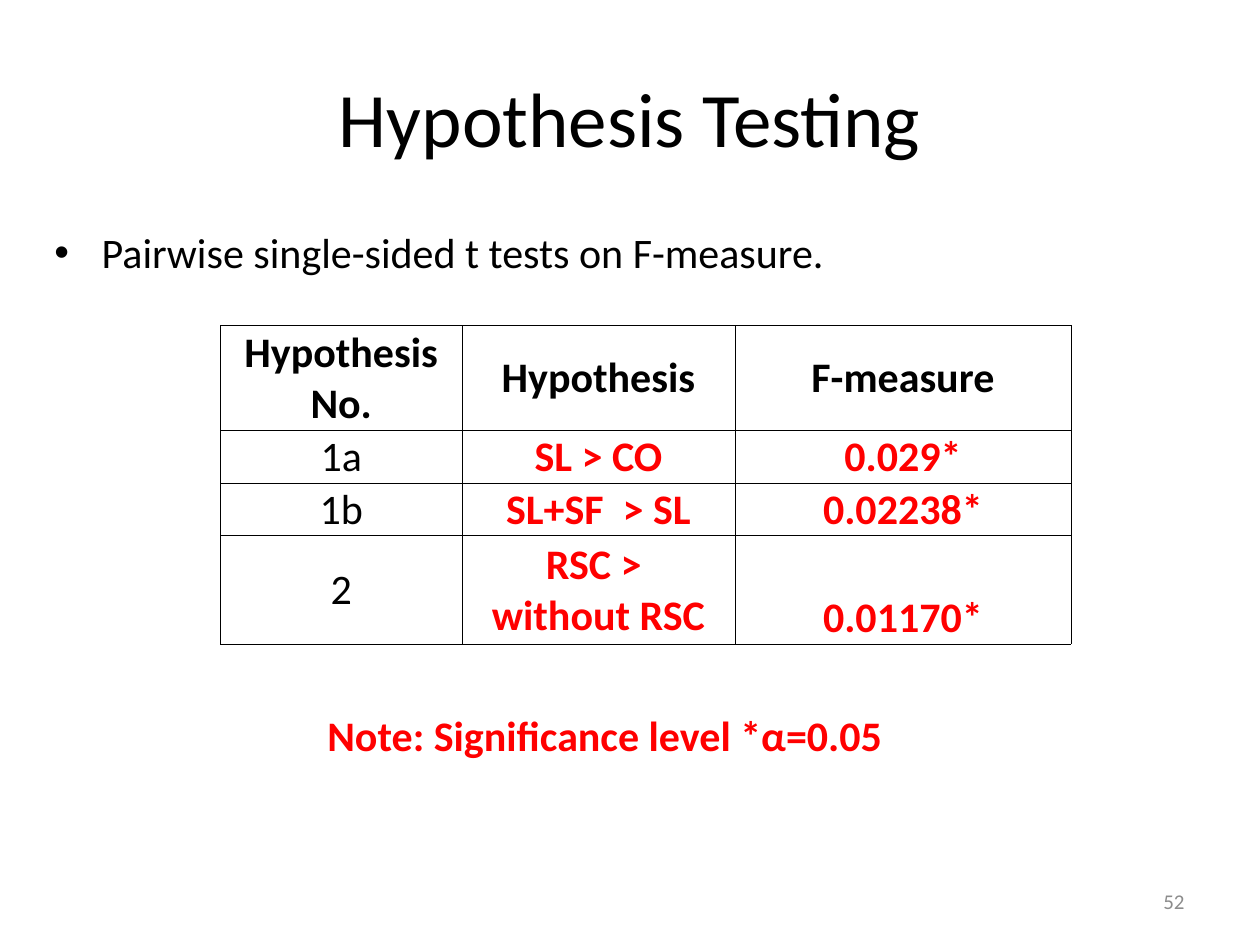
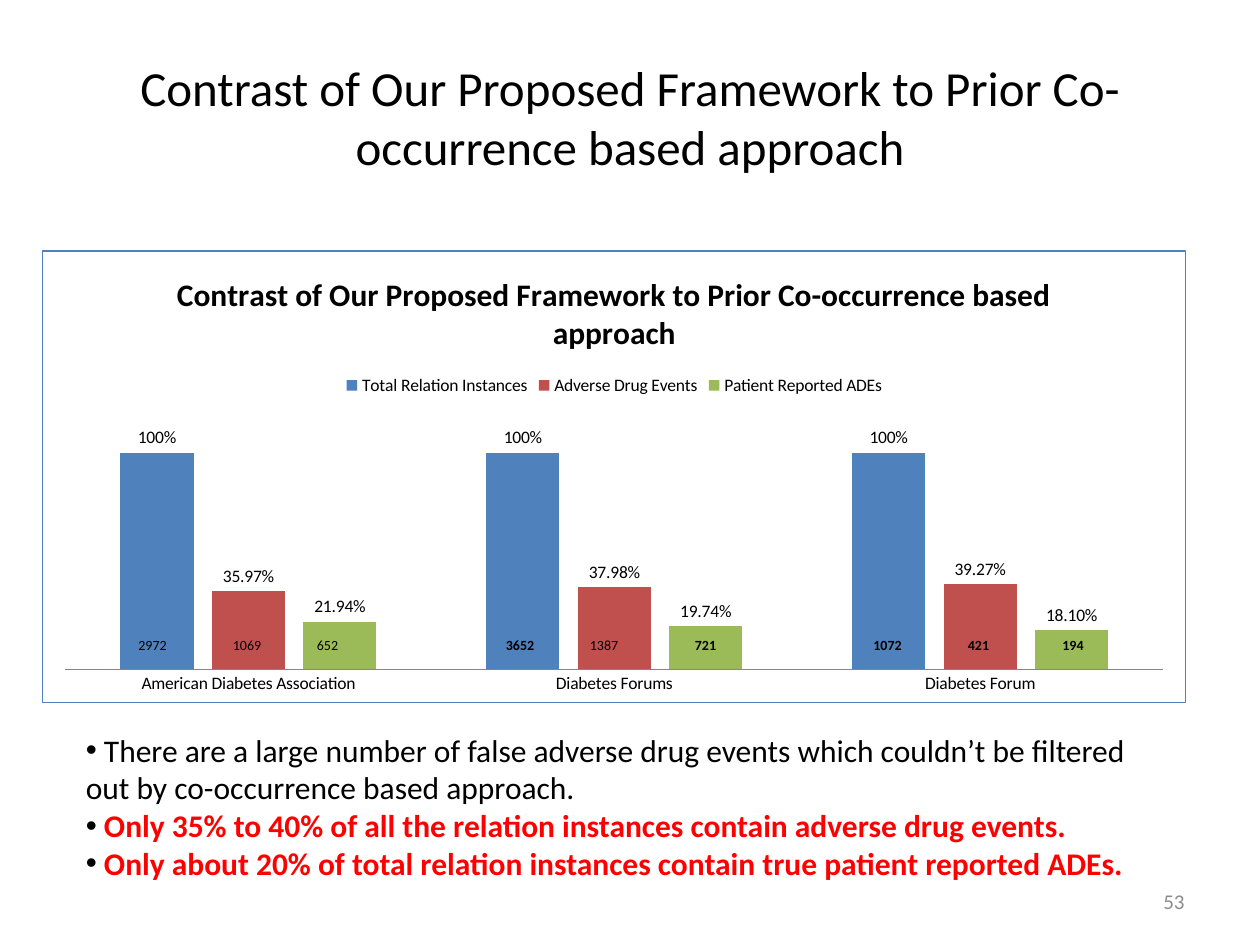
from lxml.etree import SubElement
from pptx import Presentation
from pptx.chart.data import CategoryChartData
from pptx.dml.color import RGBColor
from pptx.enum.chart import XL_CHART_TYPE, XL_LABEL_POSITION, XL_LEGEND_POSITION, XL_TICK_MARK
from pptx.enum.text import MSO_ANCHOR, MSO_AUTO_SIZE, PP_ALIGN
from pptx.oxml import parse_xml
from pptx.oxml.ns import nsdecls, qn
from pptx.util import Pt

FONT = "Calibri"
BLACK, RED, GREY, LINE = "000000", "FF0000", "8C8C8C", "868686"
BLUE, BRICK, GREEN = "4F81BD", "C0504D", "9BBB59"
LEFT, MID, RIGHT = PP_ALIGN.LEFT, PP_ALIGN.CENTER, PP_ALIGN.RIGHT


def rgb(code):
    return RGBColor.from_string(code)


class Deck:
    """Holds the shared style and the current slide."""

    def __init__(self):
        self.prs = Presentation()
        self.prs.slide_width, self.prs.slide_height = Pt(720), Pt(540)

    def page(self, title, size, number):
        self.slide = self.prs.slides.add_slide(self.prs.slide_layouts[5])
        head = self.slide.shapes.title
        head.left, head.top, head.width, head.height = Pt(36), Pt(21.6), Pt(648), Pt(90)
        frame = head.text_frame
        frame.auto_size = MSO_AUTO_SIZE.NONE
        frame.vertical_anchor = MSO_ANCHOR.MIDDLE
        self.fill(frame, [[(title, BLACK, False)]], size, MID)
        self.text((516, 500.4, 168, 28.8), [[(number, GREY, False)]], 12, RIGHT, MSO_ANCHOR.MIDDLE)

    def fill(self, frame, paras, size, align=LEFT, hang=None):
        for i, runs in enumerate(paras):
            para = frame.add_paragraph() if i else frame.paragraphs[0]
            para.alignment = align
            if hang is not None:
                self.bullet(para, hang)
            for words, color, bold in runs:
                run = para.add_run()
                run.text = words
                self.style(run.font, size, color, bold)

    def style(self, font, size, color=BLACK, bold=False):
        font.name, font.size, font.bold = FONT, Pt(size), bold
        font.color.rgb = rgb(color)

    def bullet(self, para, hang):
        props = para._p.get_or_add_pPr()
        props.set("marL", str(Pt(hang)))
        props.set("indent", str(-Pt(hang)))
        SubElement(props, qn("a:buFont")).set("typeface", "Arial")
        SubElement(props, qn("a:buChar")).set("char", "•")

    def text(self, box, paras, size, align=LEFT, anchor=MSO_ANCHOR.TOP, hang=None):
        frame = self.slide.shapes.add_textbox(*map(Pt, box)).text_frame
        frame.word_wrap = True
        frame.vertical_anchor = anchor
        self.fill(frame, paras, size, align, hang)

    def table(self, spot, cols, rows, cells):
        shape = self.slide.shapes.add_table(
            len(rows), len(cols), *map(Pt, (*spot, sum(cols), sum(rows))))
        grid = shape.table
        grid.first_row = grid.horz_banding = False
        for col, width in zip(grid.columns, cols):
            col.width = Pt(width)
        for r, (row, high) in enumerate(zip(grid.rows, rows)):
            row.height = Pt(high)
            for c, cell in enumerate(row.cells):
                self.border(cell)
                cell.fill.background()
                cell.margin_left = cell.margin_right = cell.margin_top = Pt(0.75)
                cell.margin_bottom = 0
                low = r > 0 and c == 2
                cell.vertical_anchor = MSO_ANCHOR.BOTTOM if low else MSO_ANCHOR.MIDDLE
                color = RED if r and c else BLACK
                bold = r == 0 or c > 0
                lines = cells[r][c].split("\n")
                self.fill(cell.text_frame, [[(line, color, bold)] for line in lines], 24, MID)

    def border(self, cell):
        props = cell._tc.get_or_add_tcPr()
        for side in "LRTB":
            props.append(parse_xml(
                f'<a:ln{side} {nsdecls("a")} w="{Pt(0.5)}"><a:solidFill>'
                f'<a:srgbClr val="{BLACK}"/></a:solidFill></a:ln{side}>'))

    def chart(self, box, title, cats, series):
        data = CategoryChartData()
        data.categories = cats
        for name, vals, _, _ in series:
            data.add_series(name, vals)
        chart = self.slide.shapes.add_chart(
            XL_CHART_TYPE.COLUMN_CLUSTERED, *map(Pt, box), data).chart
        self.style(chart.font, 10)
        chart.has_title = True
        self.fill(chart.chart_title.text_frame, [[(title, BLACK, True)]], 18, MID)
        chart.has_legend = True
        chart.legend.position = XL_LEGEND_POSITION.TOP
        chart.legend.include_in_layout = False
        axis = chart.value_axis
        axis.visible = axis.has_major_gridlines = False
        axis.minimum_scale, axis.maximum_scale = 0, 1.2
        base = chart.category_axis
        base.major_tick_mark = XL_TICK_MARK.NONE
        base.format.line.color.rgb = rgb(LINE)
        plot = chart.plots[0]
        plot.gap_width, plot.overlap, plot.vary_by_categories = 150, -25, False
        for bars, (_, _, color, form) in zip(plot.series, series):
            bars.format.fill.solid()
            bars.format.fill.fore_color.rgb = rgb(color)
            tags = bars.data_labels
            tags.show_value = True
            tags.number_format, tags.number_format_is_linked = form, False
            tags.position = XL_LABEL_POSITION.OUTSIDE_END
            self.style(tags.font, 10)
        self.frame(chart)

    def frame(self, chart):
        chart._chartSpace.find(qn("c:chart")).addnext(parse_xml(
            f'<c:spPr {nsdecls("c", "a")}><a:noFill/><a:ln w="{Pt(0.75)}"><a:solidFill>'
            f'<a:srgbClr val="{BLUE}"/></a:solidFill></a:ln></c:spPr>'))


def tests(deck):
    deck.page("Hypothesis Testing", 44, "52")
    deck.text((24, 126, 678, 40), [[("Pairwise single-sided t tests on F-measure.", BLACK, False)]],
              24, hang=27)
    deck.table((126, 186), (138, 156, 192), (60, 30, 30, 62), [
        ("Hypothesis No.", "Hypothesis", "F-measure"),
        ("1a", "SL > CO", "0.029*"),
        ("1b", "SL+SF  > SL", "0.02238*"),
        ("2", "RSC > \nwithout RSC", "0.01170*"),
    ])
    deck.text((180, 402, 402, 36), [[("Note: Significance level *α=0.05", RED, True)]], 24)


def contrast(deck):
    title = "Contrast of Our Proposed Framework to Prior Co-occurrence based approach"
    deck.page(title, 28, "53")
    deck.text((42, 414, 618, 116), [
        [(" There are a large number of false adverse drug events which couldn’t be filtered "
          "out by co-occurrence based approach.", BLACK, False)],
        [(" ", BLACK, False),
         ("Only 35% to 40% of all the relation instances contain adverse drug events.", RED, True)],
        [(" ", BLACK, False),
         ("Only about 20% of total relation instances contain true patient reported ADEs.",
          RED, True)],
    ], 18, hang=0)
    deck.chart((24, 143, 654, 259), title,
               ("American Diabetes Association", "Diabetes Forums", "Diabetes Forum"), [
        ("Total Relation Instances", (1, 1, 1), BLUE, "0%"),
        ("Adverse Drug Events", (0.3597, 0.3798, 0.3927), BRICK, "0.00%"),
        ("Patient Reported ADEs", (0.2194, 0.1974, 0.181), GREEN, "0.00%"),
    ])
    counts = [
        (72, "2972", False), (126, "1069", False), (174, "652", False),
        (282, "3652", True), (330, "1387", False), (390, "721", True),
        (492, "1072", True), (546, "421", True), (600, "194", True),
    ]
    for left, count, bold in counts:
        deck.text((left, 360, 36, 17), [[(count, BLACK, bold)]], 8)


def main():
    deck = Deck()
    tests(deck)
    contrast(deck)
    deck.prs.save("out.pptx")


if __name__ == "__main__":
    main()
